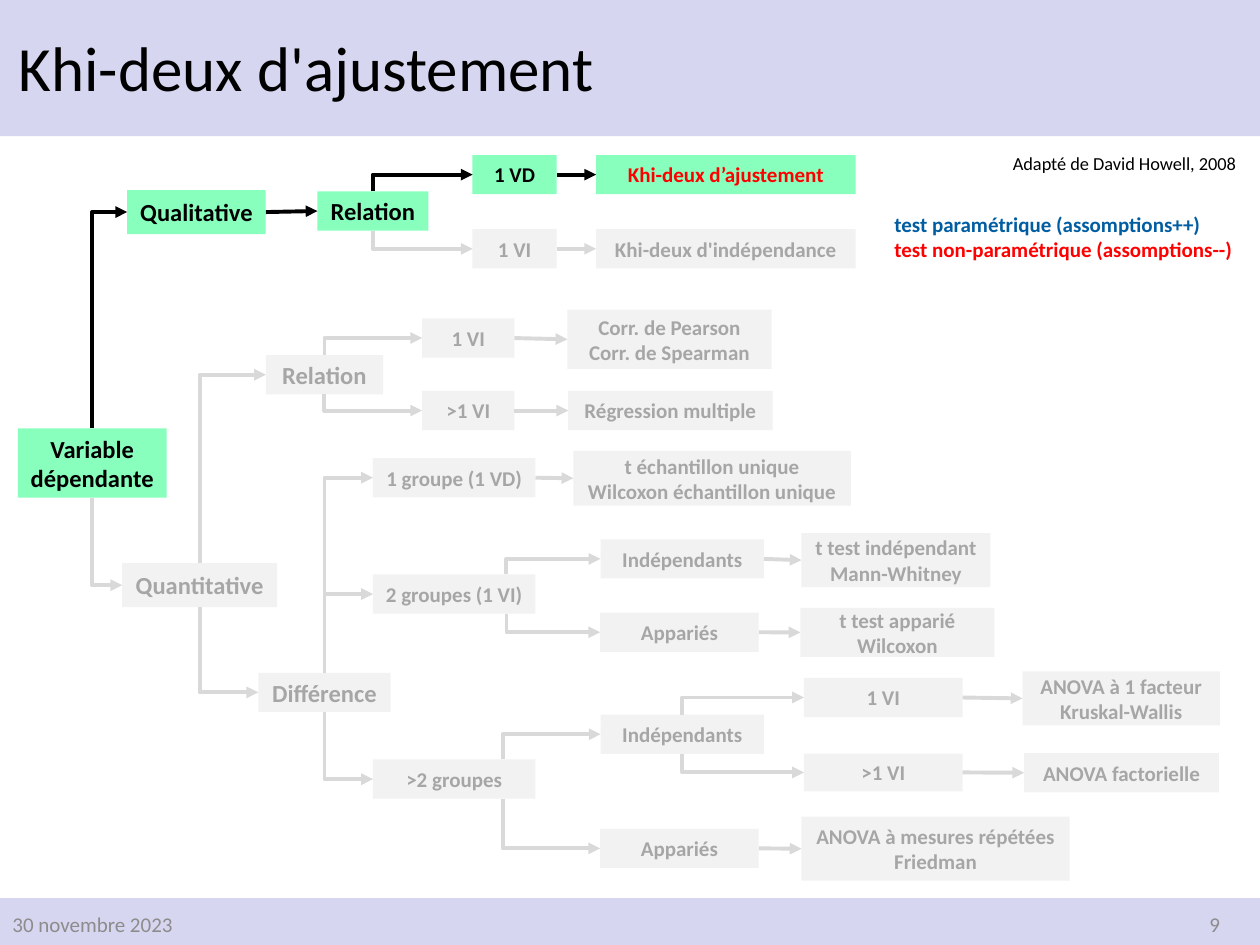
from dataclasses import dataclass
from typing import NamedTuple, Optional

from lxml.etree import SubElement
from pptx import Presentation
from pptx.dml.color import RGBColor
from pptx.enum.shapes import MSO_CONNECTOR, MSO_SHAPE
from pptx.enum.text import MSO_ANCHOR, MSO_AUTO_SIZE, PP_ALIGN
from pptx.oxml.ns import qn
from pptx.util import Pt


@dataclass(frozen=True)
class Theme:
    font: str = "Calibri"
    band: str = "D6D6F0"
    active_fill: str = "89FFBE"
    idle_fill: str = "F2F2F2"
    ink: str = "000000"
    idle_ink: str = "A6A6A6"
    idle_line: str = "D9D9D9"
    footer: str = "8C8C8C"
    parametric: str = "005DA2"
    nonparametric: str = "FF0000"
    title_size: float = 36
    major_size: float = 14
    body_size: float = 12
    credit_size: float = 10.5
    line_width: float = 2.25


class Box(NamedTuple):
    x: float
    y: float
    w: float
    h: float = 22.4

    @property
    def mid_x(self) -> float:
        return self.x + self.w / 2

    @property
    def mid_y(self) -> float:
        return self.y + self.h / 2

    @property
    def bottom(self) -> float:
        return self.y + self.h


@dataclass(frozen=True)
class Node:
    key: str
    parent: str
    text: str
    box: Box
    major: bool = False
    active: bool = False
    ink: str = ""
    branch_x: Optional[float] = None


@dataclass(frozen=True)
class Label:
    lines: tuple
    box: Box
    size: float
    bold: bool = False
    align: PP_ALIGN = PP_ALIGN.LEFT
    anchor: MSO_ANCHOR = MSO_ANCHOR.MIDDLE
    spacing: Optional[float] = None
    wrap: bool = True
    grow: bool = False


T = Theme()

NODES = [
    Node("variable", "", "Variable dépendante", Box(10.2, 244.8, 85, 39.6), True, True),
    Node("quali", "variable", "Qualitative", Box(72.7, 108.6, 79.2, 25.2), True, True),
    Node("quanti", "variable", "Quantitative", Box(69.8, 321.8, 88.6, 25.2), True),
    Node("quali_rel", "quali", "Relation", Box(181.4, 109.4, 63.4), True, True, branch_x=213),
    Node("vd", "quali_rel", "1 VD", Box(270, 88.6, 48.2), active=True),
    Node("fit", "vd", "Khi-deux d’ajustement", Box(340.6, 88.6, 148.3), active=True, ink=T.nonparametric),
    Node("vi", "quali_rel", "1 VI", Box(270, 131, 48.2)),
    Node("indep", "vi", "Khi-deux d'indépendance", Box(340.6, 131, 148.3)),
    Node("quanti_rel", "quanti", "Relation", Box(151.9, 203, 67), True),
    Node("rel_one", "quanti_rel", "1 VI", Box(241.2, 182, 52.8)),
    Node("corr", "rel_one", "Corr. de Pearson\vCorr. de Spearman", Box(324.2, 177, 116.8, 33.8)),
    Node("rel_many", "quanti_rel", ">1 VI", Box(241.2, 223.4, 52.8)),
    Node("regression", "rel_many", "Régression multiple", Box(324.7, 223.4, 116.8)),
    Node("diff", "quanti", "Différence", Box(147.6, 384.5, 75.6), True),
    Node("one", "diff", "1 groupe (1 VD)", Box(213.1, 261.8, 92.9)),
    Node("single", "one", "t échantillon unique\nWilcoxon échantillon unique", Box(327.6, 257.6, 158.6, 31.4)),
    Node("two", "diff", "2 groupes (1 VI)", Box(213.1, 328.3, 92.9), branch_x=289.4),
    Node("two_ind", "two", "Indépendants", Box(343.2, 308.2, 93.4)),
    Node("t_ind", "two_ind", "t test indépendant\vMann-Whitney", Box(458, 304.6, 108, 31)),
    Node("two_app", "two", "Appariés", Box(342.9, 350.1, 90.7)),
    Node("t_app", "two_app", "t test apparié\vWilcoxon", Box(457.4, 347.4, 110.8, 28)),
    Node("many", "diff", ">2 groupes", Box(213.1, 434, 92.9), branch_x=287.3),
    Node("many_ind", "many", "Indépendants", Box(343.2, 408.4, 93.4)),
    Node("ind_one", "many_ind", "1 VI", Box(459.4, 387.4, 90.7)),
    Node("anova", "ind_one", "ANOVA à 1 facteur\vKruskal-Wallis", Box(584.3, 383.6, 112.8, 31)),
    Node("ind_many", "many_ind", ">1 VI", Box(459.4, 430.6, 90.7, 21.6)),
    Node("factorial", "ind_many", "ANOVA factorielle", Box(585.2, 430.4, 111.4)),
    Node("many_app", "many", "Appariés", Box(342.9, 473.6, 90.7)),
    Node("repeated", "many_app", "ANOVA à mesures répétées\vFriedman", Box(458, 466.7, 153.2, 36.6)),
]

BANDS = [Box(0, 0, 720, 77.8), Box(0, 513.2, 720, 26.8)]

LABELS = [
    Label((("30 novembre 2023", T.footer),), Box(0, 513.4, 162, 28.8), T.body_size),
    Label((("9", T.footer),), Box(542.2, 513.4, 162, 28.8), T.body_size, align=PP_ALIGN.RIGHT),
    Label((("Adapté de David Howell, 2008", T.ink),), Box(571.7, 83.5, 144.7, 20), T.credit_size,
          anchor=MSO_ANCHOR.TOP, wrap=False, grow=True),
    Label((("test paramétrique (assomptions++)", T.parametric),
           ("test non-paramétrique (assomptions--)", T.nonparametric)),
          Box(504, 117.4, 210.2, 36), T.body_size, True, anchor=MSO_ANCHOR.TOP, grow=True),
    Label((("Khi-deux d'ajustement", T.ink),), Box(3.6, 5, 618.5, 71.3), T.title_size, spacing=0.9),
]


def write(tf, lines, size: float, bold: bool, align, spacing: Optional[float] = None) -> None:
    for i, (text, color) in enumerate(lines):
        p = tf.paragraphs[0] if i == 0 else tf.add_paragraph()
        p.alignment = align
        p.line_spacing = spacing
        for j, part in enumerate(text.split("\v")):
            if j:
                p.add_line_break()
            r = p.add_run()
            r.text = part
            r.font.name = T.font
            r.font.size = Pt(size)
            r.font.bold = bold
            r.font.color.rgb = RGBColor.from_string(color)


def add_rect(s, box: Box, fill: str):
    sp = s.shapes.add_shape(MSO_SHAPE.RECTANGLE, *map(Pt, box))
    sp.shadow.inherit = False
    sp.fill.solid()
    sp.fill.fore_color.rgb = RGBColor.from_string(fill)
    sp.line.fill.background()
    return sp


def add_node(s, node: Node):
    sp = add_rect(s, node.box, T.active_fill if node.active else T.idle_fill)
    tf = sp.text_frame
    tf.word_wrap = True
    tf.vertical_anchor = MSO_ANCHOR.MIDDLE
    color = node.ink or (T.ink if node.active else T.idle_ink)
    size = T.major_size if node.major else T.body_size
    write(tf, [(t, color) for t in node.text.split("\n")], size, True, PP_ALIGN.CENTER)
    return sp


def add_label(s, label: Label) -> None:
    tf = s.shapes.add_textbox(*map(Pt, label.box)).text_frame
    tf.word_wrap = label.wrap
    tf.auto_size = MSO_AUTO_SIZE.SHAPE_TO_FIT_TEXT if label.grow else MSO_AUTO_SIZE.NONE
    tf.vertical_anchor = label.anchor
    write(tf, label.lines, label.size, label.bold, label.align, label.spacing)


def add_elbow(s, parent: Node, child: Node):
    up = child.box.mid_y < parent.box.y
    x1 = parent.branch_x or parent.box.mid_x
    y1 = parent.box.y if up else parent.box.bottom
    x2, y2 = child.box.x, child.box.mid_y
    half_w, half_h = abs(y2 - y1) / 2, (x2 - x1) / 2
    cx, cy = (x1 + x2) / 2, (y1 + y2) / 2
    rise = half_h if up else -half_h
    c = s.shapes.add_connector(MSO_CONNECTOR.ELBOW, Pt(cx + half_w), Pt(cy + rise),
                               Pt(cx - half_w), Pt(cy - rise))
    sp_pr = c._element.spPr
    sp_pr.find(qn("a:xfrm")).set("rot", str((90 if up else 270) * 60000))
    sp_pr.find(qn("a:prstGeom")).set("prst", "bentConnector2")
    return c


def add_link(s, parent: Node, child: Node, shapes: dict) -> None:
    if parent.box.y <= child.box.mid_y <= parent.box.bottom:
        c = s.shapes.add_connector(MSO_CONNECTOR.STRAIGHT, 0, 0, 0, 0)
        c.begin_connect(shapes[parent.key], 3)
        c.end_connect(shapes[child.key], 1)
    else:
        c = add_elbow(s, parent, child)
    c.line.width = Pt(T.line_width)
    c.line.color.rgb = RGBColor.from_string(T.ink if child.active else T.idle_line)
    sp_pr = c._element.spPr
    SubElement(sp_pr.find(qn("a:ln")), qn("a:tailEnd"), type="triangle")
    SubElement(sp_pr, qn("a:effectLst"))


def main() -> None:
    prs = Presentation()
    prs.slide_width, prs.slide_height = Pt(720), Pt(540)
    s = prs.slides.add_slide(prs.slide_layouts[6])
    for band in BANDS:
        add_rect(s, band, T.band)
    nodes = {node.key: node for node in NODES}
    shapes = {node.key: add_node(s, node) for node in NODES}
    for node in NODES:
        if node.parent:
            add_link(s, nodes[node.parent], node, shapes)
    for label in LABELS:
        add_label(s, label)
    prs.save("out.pptx")


if __name__ == "__main__":
    main()
